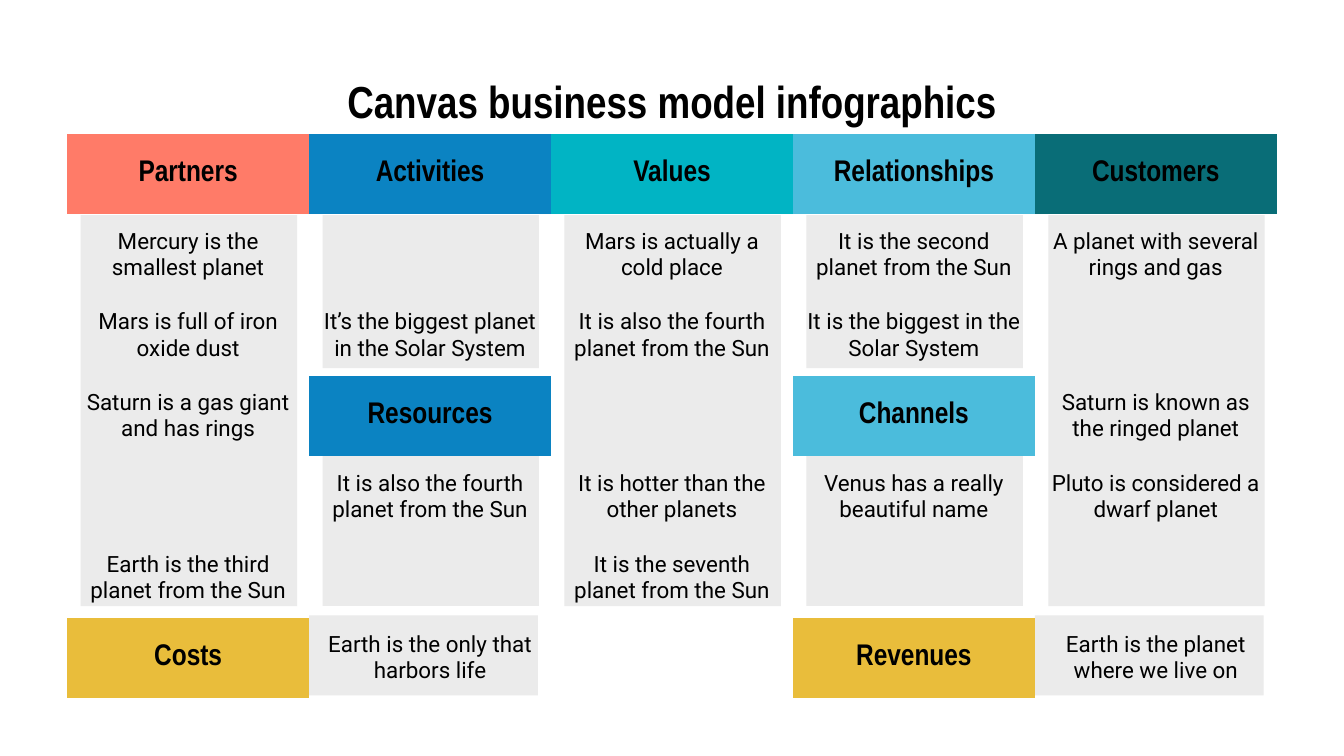
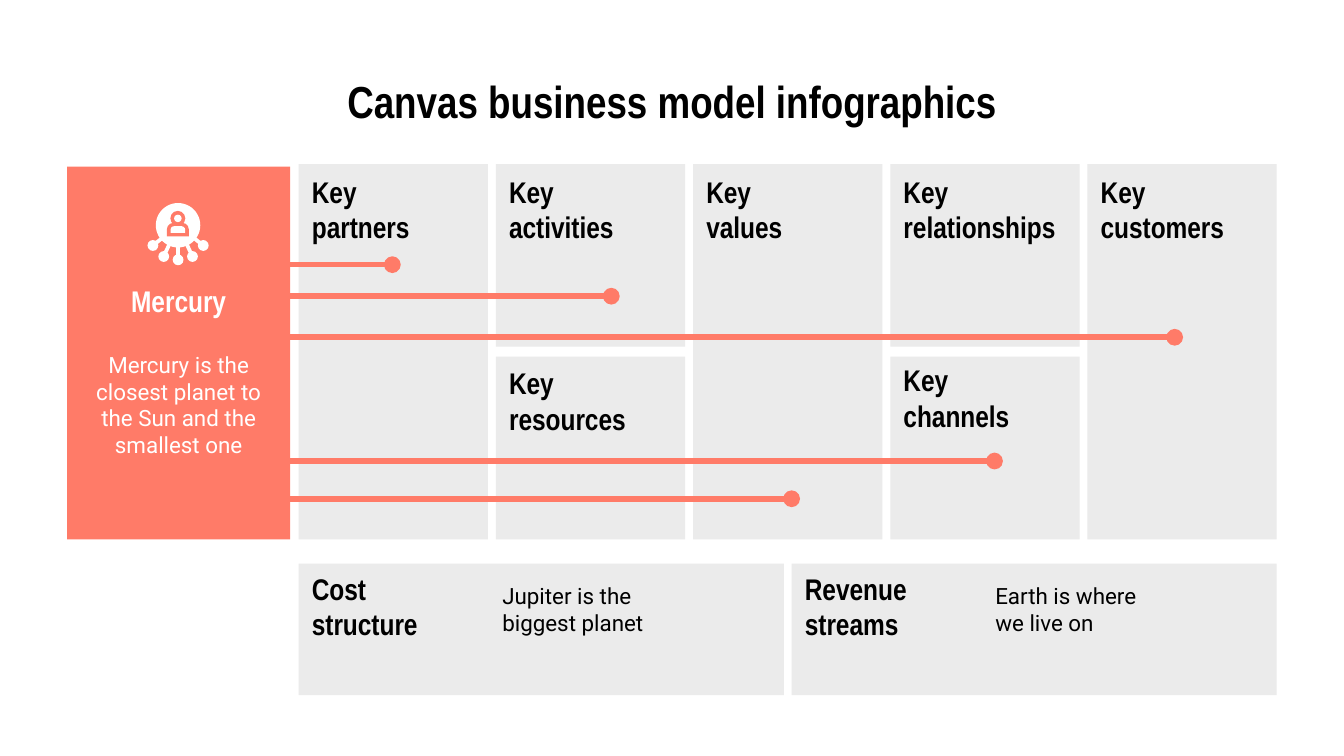
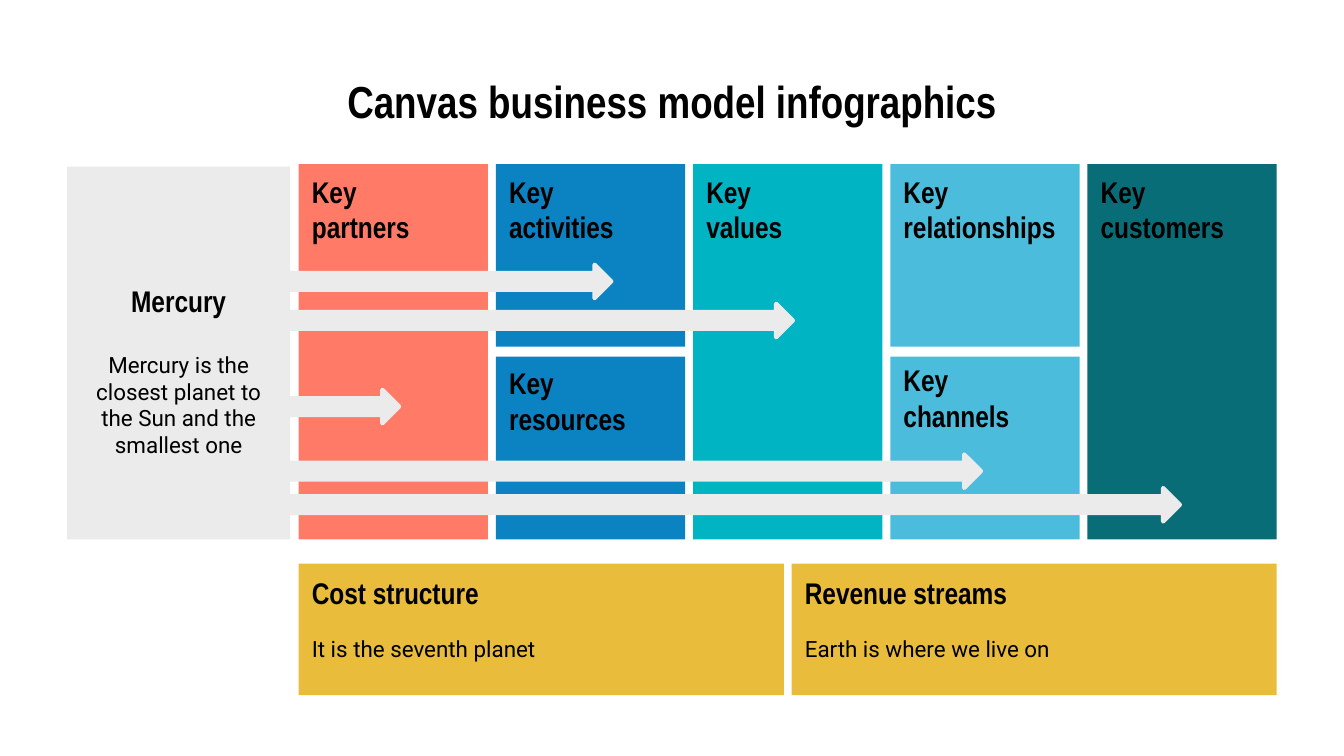
from lxml import etree
from pptx import Presentation
from pptx.dml.color import RGBColor
from pptx.enum.shapes import MSO_CONNECTOR, MSO_SHAPE
from pptx.enum.text import MSO_ANCHOR, PP_ALIGN
from pptx.oxml.ns import qn
from pptx.util import Pt

RECT, OVAL = MSO_SHAPE.RECTANGLE, MSO_SHAPE.OVAL
ARROW, BUST = MSO_SHAPE.RIGHT_ARROW, MSO_SHAPE.ROUND_2_SAME_RECTANGLE
LINE = MSO_CONNECTOR.STRAIGHT
LEFT, MID = PP_ALIGN.LEFT, PP_ALIGN.CENTER
TOP, CORE = MSO_ANCHOR.TOP, MSO_ANCHOR.MIDDLE

HUES = {
    "black": "000000", "white": "FFFFFF", "gray": "EBEBEB", "coral": "FF7B68",
    "blue": "0B83C2", "teal": "01B4C4", "sky": "4BBCDC", "pine": "096D77",
    "gold": "E9BD3B",
}
HEAD, BODY = "Arial Narrow", "Roboto"
PAD, GAP = 7.2, 4.2
PLAIN = "{2D5ABB26-0587-4C30-8999-92F81FD0307C}"

TITLE = "Canvas business model infographics"
TITLE_BOX = (36, 32.4, 648, 45.4)
TABLE_BOX = (36, 71.6, 648, 250.5)
ROWS = (43.2, 34, 34.5, 34.5, 34.5, 34, 36)
CARD_BOX = (36, 89.2, 119.5, 199.8)
GRID_BOX = (160, 87.9, 524, 201.1)
FOOT_BOX = (160, 302, 524, 70.4)

TINTS = {
    "Partners": "coral", "Activities": "blue", "Values": "teal",
    "Relationships": "sky", "Customers": "pine", "Resources": "blue",
    "Channels": "sky", "Costs": "gold", "Revenues": "gold",
}
CELLS = [
    ["Partners", "Activities", "Values", "Relationships", "Customers"],
    ["Mercury is the smallest planet", "", "Mars is actually a cold place",
     "It is the second planet from the Sun",
     "A planet with several rings and gas"],
    ["Mars is full of iron oxide dust",
     "It’s the biggest planet in the Solar System",
     "It is also the fourth planet from the Sun",
     "It is the biggest in the Solar System", ""],
    ["Saturn is a gas giant and has rings", "Resources", "", "Channels",
     "Saturn is known as the ringed planet"],
    ["", "It is also the fourth planet from the Sun",
     "It is hotter than the other planets",
     "Venus has a really beautiful name",
     "Pluto is considered a dwarf planet"],
    ["Earth is the third planet from the Sun", "",
     "It is the seventh planet from the Sun", "", ""],
    ["Costs", "Earth is the only that harbors life", "", "Revenues",
     "Earth is the planet where we live on"],
]
COLUMNS = [
    ("coral", ["partners"]), ("blue", ["activities", "resources"]),
    ("teal", ["values"]), ("sky", ["relationships", "channels"]),
    ("pine", ["customers"]),
]
DROPS = {"resources": 1.4, "channels": 0}
PINS = [(54.7, 52.6), (172, 69.5), (377.3, 157.8), (268.6, 178), (473.8, 91.5)]
DARTS = [(172, 52.6), (58.3, 119.6), (269.3, 73.5), (370, 154.2), (476.6, 172.2)]


def paint(hue):
    """Return the colour of that name."""
    return RGBColor.from_string(HUES[hue])


def block(shapes, box, hue, kind=RECT):
    """Add a filled shape without outline."""
    shape = shapes.add_shape(kind, *map(Pt, box))
    shape.shadow.inherit = False
    shape.fill.solid()
    shape.fill.fore_color.rgb = paint(hue)
    shape.line.fill.background()
    return shape


def link(shapes, start, end, hue, width):
    """Add a straight line and return its outline element."""
    line = shapes.add_connector(LINE, *map(Pt, start + end))
    line.line.color.rgb = paint(hue)
    line.line.width = Pt(width)
    etree.SubElement(line._element.spPr, qn("a:effectLst"))
    return line._element.spPr.find(qn("a:ln"))


def style(para, size, font, hue="black", align=MID):
    """Set the font and alignment of a paragraph."""
    para.alignment = align
    para.font.size = Pt(size)
    para.font.name = font
    para.font.bold = font == HEAD
    para.font.color.rgb = paint(hue)


def note(slide, box, text, size=12, font=BODY, hue="black", align=LEFT, anchor=TOP):
    """Add a text box with one paragraph a line."""
    frame = slide.shapes.add_textbox(*map(Pt, box)).text_frame
    frame.word_wrap = True
    frame.vertical_anchor = anchor
    frame.margin_left = frame.margin_right = Pt(PAD)
    frame.margin_top = frame.margin_bottom = Pt(PAD)
    frame.text = text
    for para in frame.paragraphs:
        style(para, size, font, hue, align)


def label(slide, box, text, hue="black", align=LEFT):
    """Add a bold heading centred on its height."""
    note(slide, box, text, 16, HEAD, hue, align, CORE)


def start(deck):
    """Add a blank slide with the title."""
    slide = deck.slides.add_slide(deck.slide_layouts[6])
    note(slide, TITLE_BOX, TITLE, 24, HEAD, align=MID)
    return slide


def backs(slide, box):
    """Add the gray fields behind the table."""
    left, top, width, _ = box
    step = width / 5
    for col in range(5):
        spans = [(0, 82), (127.4, 82)] if col % 2 else [(0, 209.5)]
        for drop, tall in spans:
            block(slide.shapes, (left + col * step + PAD, top + 43.6 + drop, 116, tall), "gray")
    for col in (1, 4):
        block(slide.shapes, (left + col * step, top + 258, 122.6, 43), "gray")


def table(slide, box):
    """Add the table of the business model."""
    grid = slide.shapes.add_table(len(CELLS), 5, *map(Pt, box)).table
    grid.first_row = grid.horz_banding = False
    grid._tbl.tblPr[0].text = PLAIN
    for col in grid.columns:
        col.width = Pt(box[2] / 5)
    for row, tall, texts in zip(grid.rows, ROWS, CELLS):
        row.height = Pt(tall)
        for cell, text in zip(row.cells, texts):
            cell.margin_left = cell.margin_right = Pt(PAD)
            cell.margin_top = cell.margin_bottom = Pt(PAD)
            cell.vertical_anchor = CORE
            cell.text = text
            if text in TINTS:
                cell.fill.solid()
                cell.fill.fore_color.rgb = paint(TINTS[text])
                style(cell.text_frame.paragraphs[0], 16, HEAD)
            else:
                cell.fill.background()
                style(cell.text_frame.paragraphs[0], 12, BODY)


def panels(slide, box, tint=None):
    """Add the five columns of key panels."""
    left, top, width, height = box
    wide = (width - 4 * GAP) / 5
    for col, (hue, names) in enumerate(COLUMNS):
        x = left + col * (wide + GAP)
        tall = height if len(names) == 1 else (height - 5.3) / 2
        for row, name in enumerate(names):
            y = top + row * (tall + 5.3)
            block(slide.shapes, (x, y, wide, tall), tint or hue)
            spot = (x, y + DROPS.get(name, 1.4), wide, 44 if row else 45.4)
            label(slide, spot, "Key\n" + name)


def foot(slide, box, hue, texts, beside):
    """Add the two bottom panels, text beside or below the heading."""
    left, top, width, height = box
    wide = (width - GAP) / 2
    for col, (head, text) in enumerate(zip(("Cost structure", "Revenue streams"), texts)):
        x = left + col * (wide + GAP)
        block(slide.shapes, (x, top, wide, height), hue)
        if beside:
            label(slide, (x, top, 101.5, 45.4), head)
            note(slide, (x + 102, top + 2.6, 101.5, 39.6), text)
        else:
            label(slide, (x, top, 129, 31), head)
            note(slide, (x, top + 30.8, 177, 39.6), text)


def card(slide, box, hue, ink):
    """Add the side card about Mercury."""
    left, top, width, _ = box
    block(slide.shapes, box, hue)
    label(slide, (left, top + 52.6, width, 39), "Mercury", ink, MID)
    note(slide, (left + 5, top + 91.5, width - 10, 98),
         "Mercury is the closest planet to the Sun and the smallest one",
         hue=ink, align=MID)


def icon(slide, left, top):
    """Add the person in a disc with five spokes."""
    shapes = slide.shapes.add_group_shape().shapes
    hub = (left + 16.4, top + 12)
    for x, y in ((2.9, 22.7), (8.7, 28.6), (16.4, 30.4), (24.1, 28.6), (29.9, 22.7)):
        link(shapes, hub, (left + x, top + y), "white", 2)
        block(shapes, (left + x - 2.9, top + y - 2.9, 5.8, 5.8), "white", OVAL)
    for x, y, wide, tall, hue, kind in (
        (4.5, 0, 23.8, 23.8, "white", OVAL),
        (10.4, 10.6, 11.8, 7.2, "coral", BUST),
        (12.4, 12.4, 7.8, 3.6, "white", BUST),
        (12.3, 4.2, 8, 8, "coral", OVAL),
        (14.3, 6.2, 4, 4, "white", OVAL),
    ):
        shape = block(shapes, (left + x, top + y, wide, tall), hue, kind)
        if kind == BUST:
            shape.adjustments[0] = 0.5


def pins(slide, box):
    """Add the round-ended lines from the card's right side."""
    x, top = box[0] + box[2], box[1]
    for reach, drop in PINS:
        line = link(slide.shapes, (x, top + drop), (x + reach, top + drop), "coral", 3)
        etree.SubElement(line, qn("a:tailEnd"), type="oval")


def darts(slide, box):
    """Add the block arrows from the card's right side."""
    for reach, drop in DARTS:
        spot = (box[0] + box[2], box[1] + drop, reach, 18)
        shape = block(slide.shapes, spot, "gray", ARROW)
        shape.line.color.rgb = paint("gray")
        shape.line.width = Pt(2.25)


def main():
    """Build the three slides and save them."""
    deck = Presentation()
    deck.slide_width, deck.slide_height = Pt(720), Pt(405)

    slide = start(deck)
    backs(slide, TABLE_BOX)
    table(slide, TABLE_BOX)

    slide = start(deck)
    panels(slide, GRID_BOX, "gray")
    card(slide, CARD_BOX, "coral", "white")
    foot(slide, FOOT_BOX, "gray",
         ("Jupiter is the biggest planet", "Earth is where we live on"), True)
    icon(slide, CARD_BOX[0] + 43, CARD_BOX[1] + 19.6)
    pins(slide, CARD_BOX)

    slide = start(deck)
    panels(slide, GRID_BOX)
    card(slide, CARD_BOX, "gray", "black")
    foot(slide, FOOT_BOX, "gold",
         ("It is the seventh planet", "Earth is where we live on"), False)
    darts(slide, CARD_BOX)

    deck.save("out.pptx")


if __name__ == "__main__":
    main()
